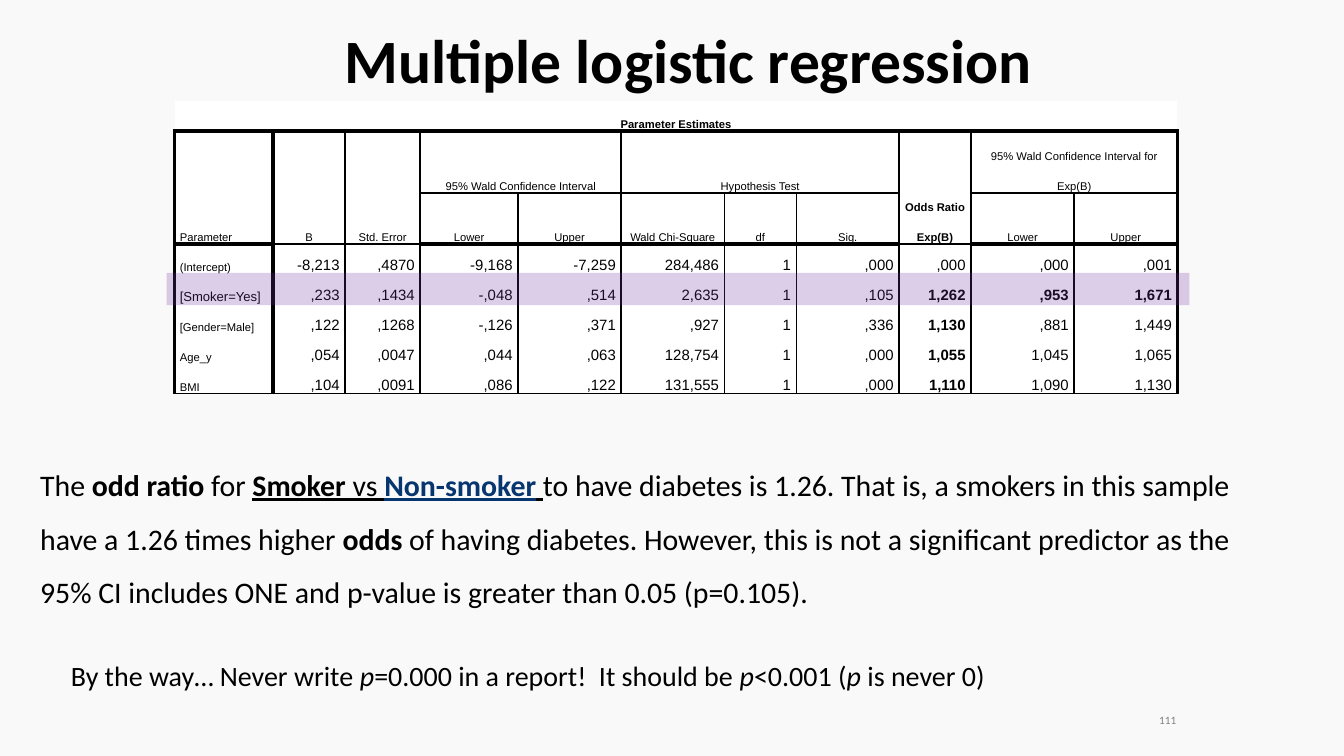
from dataclasses import dataclass

from lxml.etree import SubElement
from pptx import Presentation
from pptx.dml.color import RGBColor
from pptx.enum.shapes import MSO_SHAPE
from pptx.enum.text import MSO_ANCHOR, PP_ALIGN
from pptx.oxml.ns import qn
from pptx.util import Cm, Pt


@dataclass(frozen=True)
class Theme:
    body_font: str = "Calibri"
    table_font: str = "Arial"
    background: str = "F9F9F9"
    cell: str = "FFFFFF"
    ink: str = "000000"
    accent: str = "07356F"
    muted: str = "808080"
    highlight: str = "7030A0"
    title_size: float = 33
    body_size: float = 16
    note_size: float = 15
    value_size: float = 8
    marked_size: float = 7
    label_size: float = 6
    thin: float = 1
    thick: float = 2.25


theme = Theme()


def add_run(p, text, size, font=theme.body_font, color=theme.ink, **styles):
    r = p.add_run()
    r.text = text
    r.font.size = Pt(size)
    r.font.name = font
    r.font.color.rgb = RGBColor.from_string(color)
    for name, value in styles.items():
        setattr(r.font, name, value)


def set_borders(cell, widths):
    """Draw the left, right, top and bottom borders; a width of 0 means no line."""
    tc_pr = cell._tc.get_or_add_tcPr()
    for tag, width in zip(("a:lnL", "a:lnR", "a:lnT", "a:lnB"), widths):
        ln = SubElement(tc_pr, qn(tag), w=str(Pt(width)))
        if width:
            fill = SubElement(ln, qn("a:solidFill"))
            SubElement(fill, qn("a:srgbClr"), val=theme.ink)
        else:
            SubElement(ln, qn("a:noFill"))


prs = Presentation()
prs.slide_width, prs.slide_height = Cm(25.4), Cm(14.29)
s = prs.slides.add_slide(prs.slide_layouts[5])
s.background.fill.solid()
s.background.fill.fore_color.rgb = RGBColor.from_string(theme.background)

# Title
title = s.shapes.title
title.left, title.top, title.width, title.height = Cm(5.51), Cm(0.38), Cm(15.01), Cm(1.65)
tf = title.text_frame
tf.vertical_anchor = MSO_ANCHOR.MIDDLE
p = tf.paragraphs[0]
p.alignment = PP_ALIGN.CENTER
p.line_spacing = 0.9
add_run(p, "Multiple logistic regression", theme.title_size, bold=True)

# Parameter estimates: header cells as (row, column, row span, column span, text)
headers = [
    (0, 0, 1, 11, "Parameter Estimates"),
    (1, 0, 2, 1, "Parameter"),
    (1, 1, 2, 1, "B"),
    (1, 2, 2, 1, "Std. Error"),
    (1, 3, 1, 2, "95% Wald Confidence Interval"),
    (1, 5, 1, 3, "Hypothesis Test"),
    (1, 8, 2, 1, "Odds Ratio Exp(B)"),
    (1, 9, 1, 2, "95% Wald Confidence Interval for Exp(B)"),
    (2, 3, 1, 1, "Lower"),
    (2, 4, 1, 1, "Upper"),
    (2, 5, 1, 1, "Wald Chi-Square"),
    (2, 6, 1, 1, "df"),
    (2, 7, 1, 1, "Sig."),
    (2, 9, 1, 1, "Lower"),
    (2, 10, 1, 1, "Upper"),
]
estimates = [
    ("(Intercept)", "-8,213", ",4870", "-9,168", "-7,259", "284,486", "1", ",000", ",000", ",000", ",001"),
    ("[Smoker=Yes]", ",233", ",1434", "-,048", ",514", "2,635", "1", ",105", "1,262", ",953", "1,671"),
    ("[Gender=Male]", ",122", ",1268", "-,126", ",371", ",927", "1", ",336", "1,130", ",881", "1,449"),
    ("Age_y", ",054", ",0047", ",044", ",063", "128,754", "1", ",000", "1,055", "1,045", "1,065"),
    ("BMI", ",104", ",0091", ",086", ",122", "131,555", "1", ",000", "1,110", "1,090", "1,130"),
]
FIRST_ROW, SMOKER_ROW, LAST_ROW = 3, 4, 7
ODDS_COL, LAST_COL = 8, 10
FULL_HEIGHT_COLS = (1, 2, ODDS_COL)

col_widths = [1.86, 1.36, 1.42, 1.85, 1.95, 1.95, 1.36, 1.94, 1.36, 1.95, 1.95]
row_heights = [0.55, 1.17, 0.97] + [0.56] * len(estimates)
frame = s.shapes.add_table(len(row_heights), len(col_widths), Cm(3.3), Cm(1.91),
                           Cm(sum(col_widths)), Cm(sum(row_heights)))
table = frame.table
table.first_row = table.horz_banding = False
# "No Style, No Grid"
table._tbl.tblPr.find(qn("a:tableStyleId")).text = "{2D5ABB26-0587-4C30-8999-92F81FD0307C}"
for column, width in zip(table.columns, col_widths):
    column.width = Cm(width)
for row, height in zip(table.rows, row_heights):
    row.height = Cm(height)

cells = headers + [(i, j, 1, 1, text)
                   for i, values in enumerate(estimates, FIRST_ROW)
                   for j, text in enumerate(values)]
for i, j, row_span, col_span, text in cells:
    cell = table.cell(i, j)
    if row_span * col_span > 1:
        cell.merge(table.cell(i + row_span - 1, j + col_span - 1))
    is_data = i >= FIRST_ROW
    last_row, last_col = i + row_span - 1, j + col_span - 1

    # Horizontal rules by the row they lie under
    rule = theme.thin if j in FULL_HEIGHT_COLS else theme.thick
    under = {0: theme.thick, 1: theme.thin, 2: rule, LAST_ROW: theme.thin}
    left = theme.thick if j <= 1 else theme.thin
    right = theme.thick if last_col in (0, LAST_COL) else theme.thin
    if i == 0:
        left = right = 0
    set_borders(cell, (left, right, under.get(i - 1, 0), under.get(last_row, 0)))
    cell.fill.solid()
    cell.fill.fore_color.rgb = RGBColor.from_string(theme.cell)
    cell.margin_left = cell.margin_right = cell.margin_top = cell.margin_bottom = 0

    size, align, anchor = theme.label_size, PP_ALIGN.CENTER, MSO_ANCHOR.BOTTOM
    bold = i == 0 or j == ODDS_COL
    if i == 0:
        anchor = MSO_ANCHOR.MIDDLE
    elif is_data and j:
        size, align, anchor = theme.value_size, PP_ALIGN.RIGHT, MSO_ANCHOR.MIDDLE
        bold = i >= SMOKER_ROW and (j == ODDS_COL or i == SMOKER_ROW and j > ODDS_COL)
    elif j == 0:
        align = PP_ALIGN.LEFT
        if is_data:
            anchor = MSO_ANCHOR.TOP
        if i == SMOKER_ROW:
            size = theme.marked_size
    cell.vertical_anchor = anchor
    p = cell.text_frame.paragraphs[0]
    p.alignment = align
    p.line_spacing = Pt(16)
    for side in ("marL", "marR"):
        p._p.get_or_add_pPr().set(side, str(Cm(0.1)))
    add_run(p, text, size, theme.table_font, bold=bold)

# Highlight over the smoker row
band = s.shapes.add_shape(MSO_SHAPE.RECTANGLE, Cm(3.15), Cm(5.16), Cm(19.33), Cm(0.61))
band.shadow.inherit = False
band.line.fill.background()
band.fill.solid()
band.fill.fore_color.rgb = RGBColor.from_string(theme.highlight)
SubElement(band._element.spPr.find(".//" + qn("a:srgbClr")), qn("a:alpha"), val="24000")

# Interpretation, side note and slide number
interpretation = [
    ("The ", {}),
    ("odd ratio ", {"bold": True}),
    ("for ", {}),
    ("Smoker", {"bold": True, "underline": True}),
    (" vs ", {"underline": True}),
    ("Non-smoker", {"bold": True, "underline": True, "color": theme.accent}),
    (" ", {"underline": True}),
    ("to have diabetes is 1.26. That is, a smokers in this sample have a 1.26 times higher ", {}),
    ("odds", {"bold": True}),
    (" of having diabetes. However, this is not a significant predictor as the 95% CI "
     "includes ONE and p-value is greater than 0.05 (p=0.105).", {}),
]
side_note = [
    ("By the way… Never write ", {}),
    ("p", {"italic": True}),
    ("=0.000 in a report!  It should be ", {}),
    ("p", {"italic": True}),
    ("<0.001 (", {}),
    ("p", {"italic": True}),
    (" is never 0)", {}),
]
slide_number = [("111", {"color": theme.muted})]
texts = [
    ((0.51, 8.36, 24, 3), interpretation, theme.body_size, 1.5),
    ((1.09, 12.32, 17.78, 0.89), side_note, theme.note_size, 1),
    ((17.78, 13.23, 4.45, 0.76), slide_number, theme.label_size, 1),
]
for box, runs, size, spacing in texts:
    sp = s.shapes.add_textbox(*map(Cm, box))
    tf = sp.text_frame
    tf.word_wrap = True
    p = tf.paragraphs[0]
    p.line_spacing = spacing
    for text, styles in runs:
        add_run(p, text, size, **styles)
    if runs is slide_number:
        tf.margin_left = tf.margin_right = tf.margin_top = tf.margin_bottom = 0
        tf.vertical_anchor = MSO_ANCHOR.MIDDLE
        p.alignment = PP_ALIGN.RIGHT

prs.save("out.pptx")
